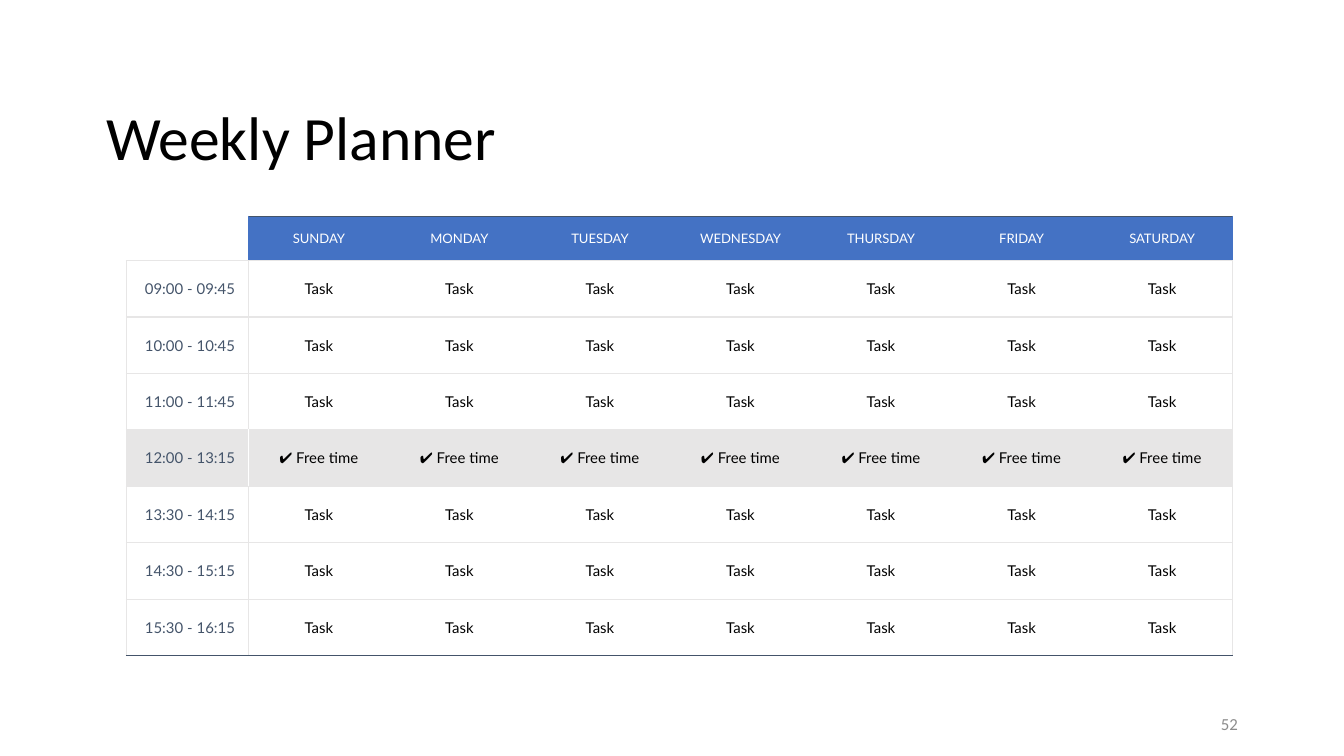
from dataclasses import dataclass

from lxml import etree
from pptx import Presentation
from pptx import util as u
from pptx.dml.color import RGBColor
from pptx.enum import text
from pptx.oxml import ns

BLACK = RGBColor(0x00, 0x00, 0x00)
WHITE = RGBColor(0xFF, 0xFF, 0xFF)
BLUE = RGBColor(0x44, 0x72, 0xC4)
SLATE = RGBColor(0x44, 0x54, 0x6A)
LIGHT = RGBColor(0xE7, 0xE6, 0xE6)
GRAY = RGBColor(0x8C, 0x8C, 0x8C)

LEFT, TOP = 0.94, 1.61
TIME_W, DAYS_W = 0.91, 7.32
HEADER_H, ROW_H = 0.33, 0.42
NO_STYLE = "{2D5ABB26-0587-4C30-8999-92F81FD0307C}"

DAYS = ["SUNDAY", "MONDAY", "TUESDAY", "WEDNESDAY", "THURSDAY", "FRIDAY", "SATURDAY"]
TIMES = [
    "09:00 - 09:45",
    "10:00 - 10:45",
    "11:00 - 11:45",
    "12:00 - 13:15",
    "13:30 - 14:15",
    "14:30 - 15:15",
    "15:30 - 16:15",
]
BREAK = "12:00 - 13:15"

INSETS = {f"margin_{side}": u.Inches(0.1) for side in ("left", "right", "top", "bottom")}
NO_INSETS = dict.fromkeys(INSETS, 0)


@dataclass(frozen=True)
class TextStyle:
    size: float
    color: RGBColor
    font: str = "Lato"
    align: text.PP_ALIGN = text.PP_ALIGN.CENTER


HEADER = TextStyle(7, WHITE)
TIME = TextStyle(8, SLATE, align=text.PP_ALIGN.RIGHT)
TASK = TextStyle(8, BLACK)
TITLE = TextStyle(33, BLACK, "Calibri", text.PP_ALIGN.LEFT)
NUMBER = TextStyle(9, GRAY, "Calibri", text.PP_ALIGN.RIGHT)


def apply(obj, values: dict) -> None:
    for name, value in values.items():
        setattr(obj, name, value)


def write(tf, content: str, style: TextStyle):
    p = tf.paragraphs[0]
    p.alignment = style.align
    r = p.add_run()
    r.text = content
    apply(r.font, {"size": u.Pt(style.size), "name": style.font})
    r.font.color.rgb = style.color
    return p


def set_borders(cell, borders: dict[str, RGBColor]) -> None:
    tc_pr = cell._tc.get_or_add_tcPr()
    for side in "LRTB":
        ln = etree.SubElement(tc_pr, ns.qn(f"a:ln{side}"), w=str(u.Pt(0.75)))
        if side in borders:
            fill = etree.SubElement(ln, ns.qn("a:solidFill"))
            etree.SubElement(fill, ns.qn("a:srgbClr"), val=str(borders[side]))
        else:
            etree.SubElement(ln, ns.qn("a:noFill"))


def draw_cell(cell, content: str, style: TextStyle, borders: dict[str, RGBColor],
              fill: RGBColor | None = None) -> None:
    apply(cell, {"vertical_anchor": text.MSO_ANCHOR.MIDDLE, **INSETS})
    write(cell.text_frame, content, style)
    set_borders(cell, borders)
    if fill is None:
        cell.fill.background()
    else:
        cell.fill.solid()
        cell.fill.fore_color.rgb = fill


def draw_planner(s) -> None:
    rows, cols = len(TIMES) + 1, len(DAYS) + 1
    frame = s.shapes.add_table(
        rows, cols, u.Inches(LEFT), u.Inches(TOP),
        u.Inches(TIME_W + DAYS_W), u.Inches(HEADER_H + ROW_H * len(TIMES)))
    table = frame.table
    apply(table, {"first_row": False, "horz_banding": False})
    table._tbl.tblPr.find(ns.qn("a:tableStyleId")).text = NO_STYLE
    for i, col in enumerate(table.columns):
        col.width = u.Inches(DAYS_W / len(DAYS) if i else TIME_W)
    for i, row in enumerate(table.rows):
        row.height = u.Inches(ROW_H if i else HEADER_H)

    corner = table.cell(0, 0)
    apply(corner, NO_INSETS)
    set_borders(corner, {"R": BLUE, "B": LIGHT})
    corner.fill.background()

    for c, day in enumerate(DAYS, 1):
        borders = {"T": SLATE, "B": LIGHT}
        if c == 1:
            borders["L"] = BLUE
        if c == len(DAYS):
            borders["R"] = BLUE
        draw_cell(table.cell(0, c), day, HEADER, borders, BLUE)

    for i, time in enumerate(TIMES, 1):
        is_break = time == BREAK
        fill = LIGHT if is_break else None
        divider = WHITE if is_break else LIGHT
        edges = {"T": LIGHT, "B": SLATE if i == len(TIMES) else LIGHT}
        draw_cell(table.cell(i, 0), time, TIME, {**edges, "L": LIGHT, "R": divider}, fill)
        for c in range(1, cols):
            borders = dict(edges)
            if c == 1:
                borders["L"] = divider
            if c == len(DAYS):
                borders["R"] = LIGHT
            label = "✔ Free time" if is_break else "Task"
            draw_cell(table.cell(i, c), label, TASK, borders, fill)


def draw_text(sp, content: str, style: TextStyle, anchor: text.MSO_ANCHOR):
    tf = sp.text_frame
    apply(tf, {"word_wrap": True, "auto_size": text.MSO_AUTO_SIZE.NONE,
               "vertical_anchor": anchor, **INSETS})
    return write(tf, content, style)


def main() -> None:
    prs = Presentation()
    apply(prs, {"slide_width": u.Inches(10), "slide_height": u.Inches(5.625)})
    s = prs.slides.add_slide(prs.slide_layouts[5])

    title = s.shapes.title
    apply(title, {"left": u.Inches(0.69), "top": u.Inches(0.3),
                  "width": u.Inches(8.62), "height": u.Inches(1.09)})
    p = draw_text(title, "Weekly Planner", TITLE, text.MSO_ANCHOR.BOTTOM)
    p.line_spacing = 0.9

    number = s.shapes.add_textbox(u.Inches(7.06), u.Inches(5.21), u.Inches(2.25), u.Inches(0.3))
    draw_text(number, "52", NUMBER, text.MSO_ANCHOR.TOP)

    draw_planner(s)
    prs.save("out.pptx")


if __name__ == "__main__":
    main()
